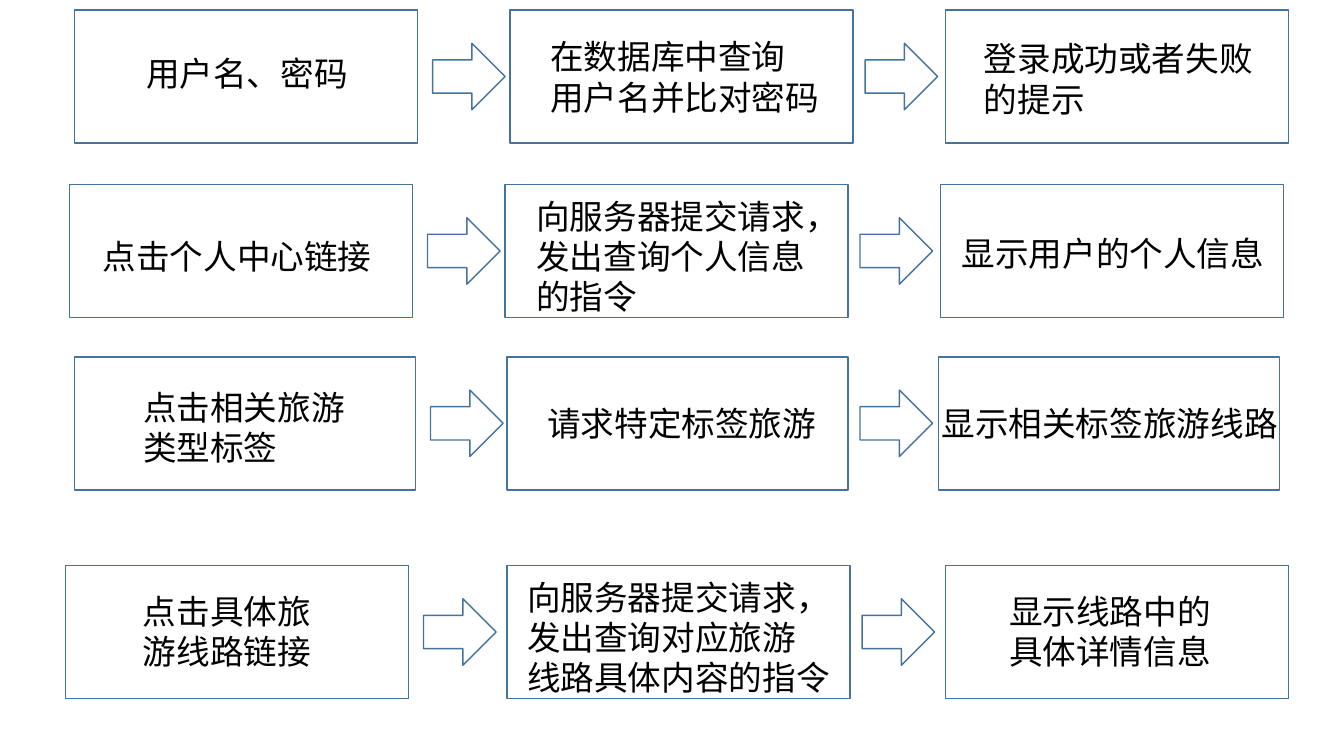
import dataclasses

import pptx
import pptx.dml.color
import pptx.enum.shapes
import pptx.enum.text
import pptx.oxml.ns
import pptx.shapes.autoshape
import pptx.shapes.shapetree
import pptx.slide
import pptx.util
from lxml import etree

Inches = pptx.util.Inches
MSO_SHAPE = pptx.enum.shapes.MSO_SHAPE


@dataclasses.dataclass(frozen=True)
class Theme:
    font: str = "Noto Sans CJK SC"
    size: int = 24
    text: str = "000000"
    line: str = "43739E"
    line_width: float = 1


@dataclasses.dataclass(frozen=True)
class Step:
    box_left: float
    text_left: float
    text_top: float
    lines: tuple[str, ...]


@dataclasses.dataclass(frozen=True)
class Flow:
    top: float
    box_width: float
    steps: tuple[Step, ...]


THEME = Theme()
BOX_HEIGHT = 1.32
ARROW_WIDTH, ARROW_HEIGHT = 0.72, 0.66
ARROW_GAPS = (0.15, 0.12)  # from a box to the arrow on its right
LINE_HEIGHT = 0.4

FLOWS = (
    Flow(0.1, 3.4, (
        Step(0.74, 1.35, 0.48, ("用户名、密码",)),
        Step(5.06, 5.36, 0.31, ("在数据库中查询", "用户名并比对密码")),
        Step(9.38, 9.66, 0.33, ("登录成功或者失败", "的提示")),
    )),
    Flow(1.83, 3.4, (
        Step(0.69, 0.92, 2.29, ("点击个人中心链接",)),
        Step(5.01, 5.22, 1.89, ("向服务器提交请求，", "发出查询个人信息", "的指令")),
        Step(9.33, 9.44, 2.26, ("显示用户的个人信息",)),
    )),
    Flow(3.54, 3.38, (
        Step(0.74, 1.32, 3.79, ("点击相关旅游", "类型标签")),
        Step(5.03, 5.33, 3.95, ("请求特定标签旅游",)),
        Step(9.31, 9.24, 3.95, ("显示相关标签旅游线路",)),
    )),
    Flow(5.61, 3.4, (
        Step(0.65, 1.32, 5.81, ("点击具体旅", "游线路链接")),
        Step(5.03, 5.13, 5.67, ("向服务器提交请求，", "发出查询对应旅游", "线路具体内容的指令")),
        Step(9.38, 9.91, 5.81, ("显示线路中的", "具体详情信息")),
    )),
)


def add_outline(shapes: pptx.shapes.shapetree.GroupShapes, kind: MSO_SHAPE,
                left: float, top: float, width: float, height: float) -> None:
    """Draw an unfilled shape with the theme's outline."""
    sp = shapes.add_shape(kind, Inches(left), Inches(top), Inches(width), Inches(height))
    sp.shadow.inherit = False
    sp.fill.background()
    sp.line.color.rgb = pptx.dml.color.RGBColor.from_string(THEME.line)
    sp.line.width = pptx.util.Pt(THEME.line_width)


def add_label(shapes: pptx.shapes.shapetree.GroupShapes, step: Step) -> None:
    """Write a step's lines, one paragraph each, in a box sized to the longest."""
    width = max(map(len, step.lines)) * THEME.size / 72 + 0.22
    height = len(step.lines) * LINE_HEIGHT + 0.1
    sp = shapes.add_textbox(Inches(step.text_left), Inches(step.text_top),
                            Inches(width), Inches(height))
    tf = sp.text_frame
    tf.word_wrap = True
    tf.auto_size = pptx.enum.text.MSO_AUTO_SIZE.SHAPE_TO_FIT_TEXT
    tf.text = "\n".join(step.lines)
    font_format = {"name": THEME.font, "size": pptx.util.Pt(THEME.size)}
    for p in tf.paragraphs:
        for r in p.runs:
            for name, value in font_format.items():
                setattr(r.font, name, value)
            r.font.color.rgb = pptx.dml.color.RGBColor.from_string(THEME.text)
            # Chinese characters take the East Asian typeface
            ea = etree.SubElement(r._r.get_or_add_rPr(), pptx.oxml.ns.qn("a:ea"))
            ea.set("typeface", THEME.font)


def add_flow(slide: pptx.slide.Slide, flow: Flow) -> None:
    """Draw one row as a group: boxes, arrows between them, then labels."""
    shapes = slide.shapes.add_group_shape().shapes
    for step in flow.steps:
        add_outline(shapes, MSO_SHAPE.RECTANGLE, step.box_left, flow.top,
                    flow.box_width, BOX_HEIGHT)
    arrow_top = flow.top + (BOX_HEIGHT - ARROW_HEIGHT) / 2
    for step, gap in zip(flow.steps, ARROW_GAPS):
        add_outline(shapes, MSO_SHAPE.RIGHT_ARROW, step.box_left + flow.box_width + gap,
                    arrow_top, ARROW_WIDTH, ARROW_HEIGHT)
    for step in flow.steps:
        add_label(shapes, step)


def main() -> None:
    prs = pptx.Presentation()
    prs.slide_width, prs.slide_height = Inches(13.33), Inches(7.5)
    slide = prs.slides.add_slide(prs.slide_layouts[6])
    for flow in FLOWS:
        add_flow(slide, flow)
    prs.save("out.pptx")


if __name__ == "__main__":
    main()
